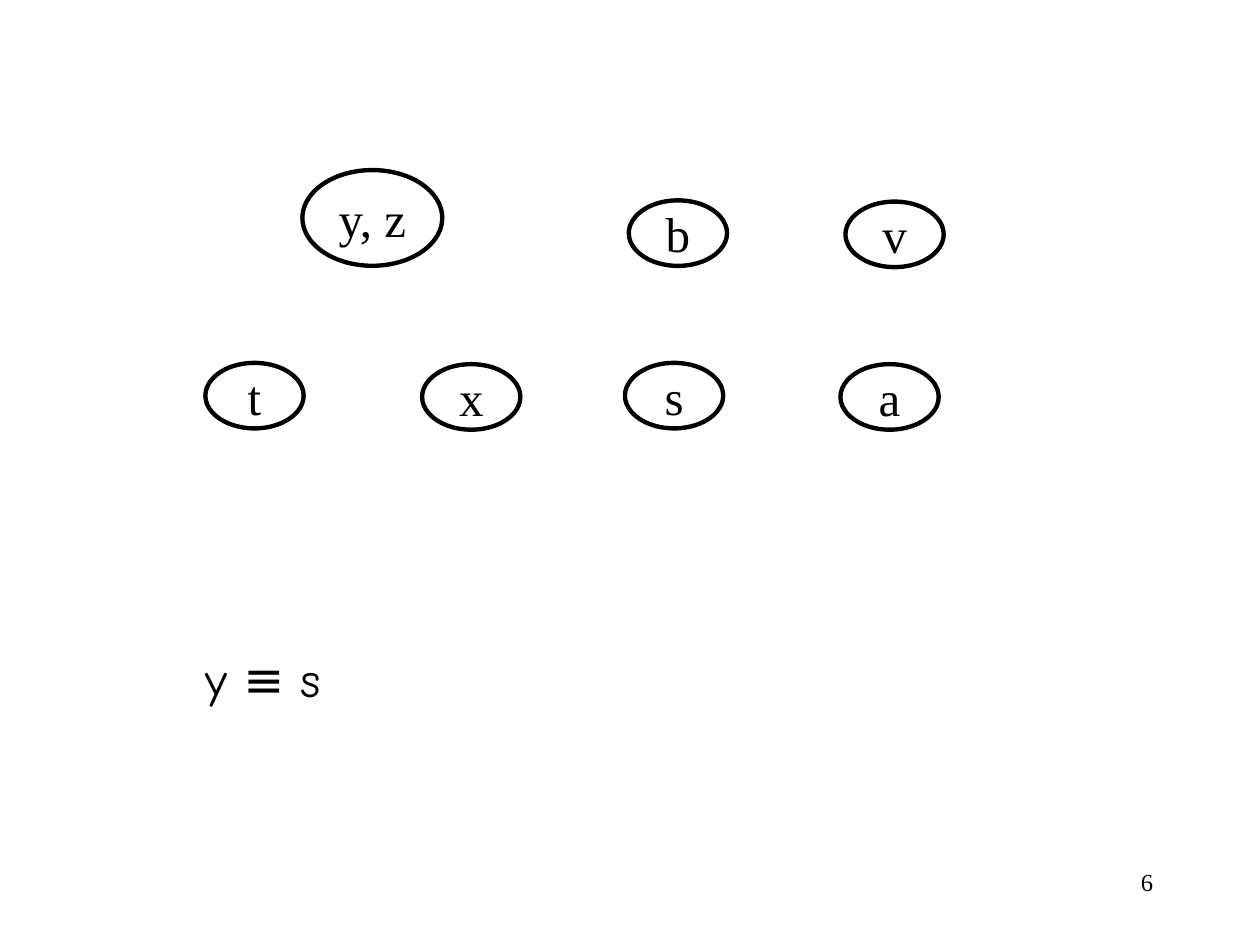
from pptx import Presentation
from pptx.dml.color import RGBColor as RGB
from pptx.enum.shapes import MSO_SHAPE as Shape
from pptx.enum.text import MSO_ANCHOR as Anchor, MSO_AUTO_SIZE as Fit, PP_ALIGN as Align
from pptx.util import Inches, Pt

COLORS = {"ink": "000000"}
SERIF = "Times New Roman"
SMALL = (0.78, 0.52)

# Equivalence classes: label, left, top, size
NODES = [
    ("y, z", 2.4, 1.35, (1.11, 0.76)),
    ("t", 1.63, 2.88, SMALL),
    ("x", 3.35, 2.89, SMALL),
    ("b", 4.99, 1.59, SMALL),
    ("v", 6.71, 1.6, SMALL),
    ("s", 4.96, 2.88, SMALL),
    ("a", 6.67, 2.89, SMALL),
]


def ink():
    return RGB.from_string(COLORS["ink"])


def assign(item, values):
    for name, value in values.items():
        setattr(item, name, value)


def write(shape, text, font, frame, para):
    body = shape.text_frame
    assign(body, frame)
    line = body.paragraphs[0]
    assign(line, para)
    run = line.add_run()
    run.text = text
    assign(run.font, font)
    run.font.color.rgb = ink()


def add_node(slide, label, left, top, size):
    oval = slide.shapes.add_shape(
        Shape.OVAL, Inches(left), Inches(top), *map(Inches, size))
    oval.shadow.inherit = False
    oval.fill.background()
    oval.line.color.rgb = ink()
    oval.line.width = Pt(2.5)
    write(oval, label, {"name": SERIF, "size": Pt(28)},
          {"word_wrap": False, "vertical_anchor": Anchor.MIDDLE},
          {"alignment": Align.CENTER})


def add_label(slide, text, box, font, para, fit=Fit.NONE):
    label = slide.shapes.add_textbox(*map(Inches, box))
    write(label, text, font, {"word_wrap": True, "auto_size": fit}, para)


def main():
    deck = Presentation()
    assign(deck, {"slide_width": Inches(10), "slide_height": Inches(7.5)})
    slide = deck.slides.add_slide(deck.slide_layouts[6])

    # Classes
    for node in NODES:
        add_node(slide, *node)

    # Relation to merge
    add_label(slide, "y ≡ s", (1.53, 5.1, 1.75, 0.57),
              {"name": "Comic Neue", "size": Pt(28)},
              {"space_before": Pt(17.5)}, Fit.SHAPE_TO_FIT_TEXT)

    # Page number
    add_label(slide, "6", (7.17, 6.83, 2.08, 0.5),
              {"name": SERIF, "size": Pt(14)}, {"alignment": Align.RIGHT})

    deck.save("out.pptx")


if __name__ == "__main__":
    main()
